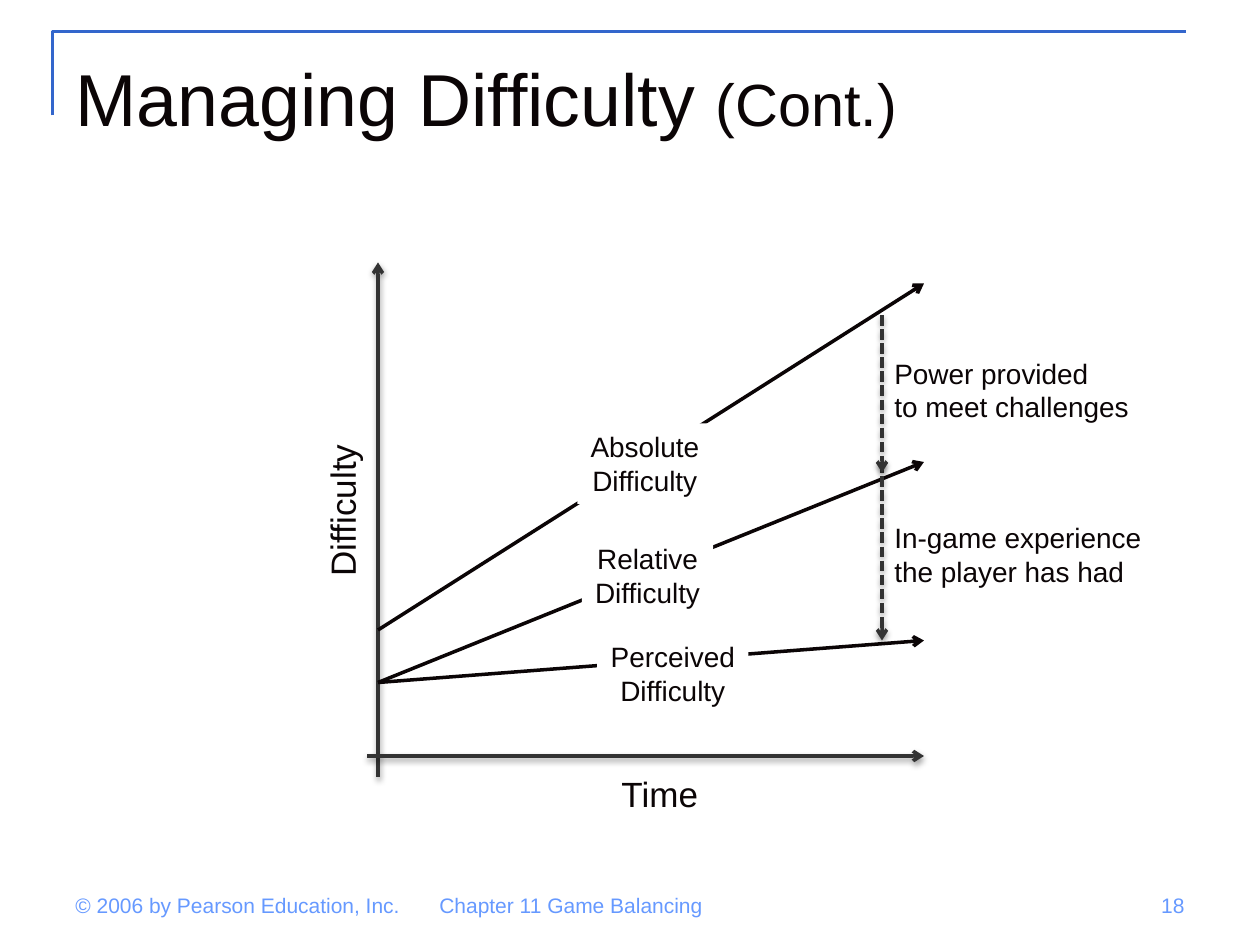
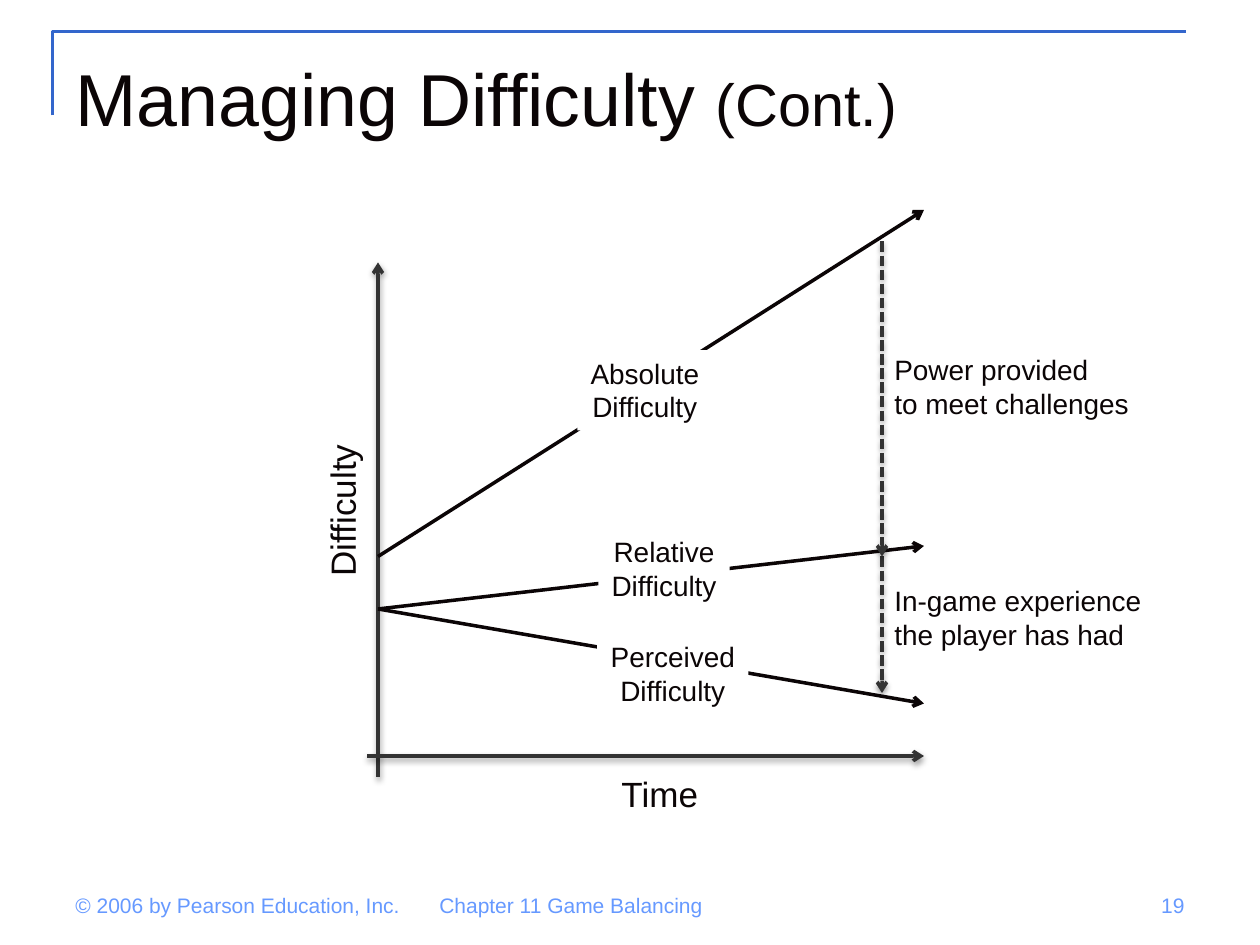
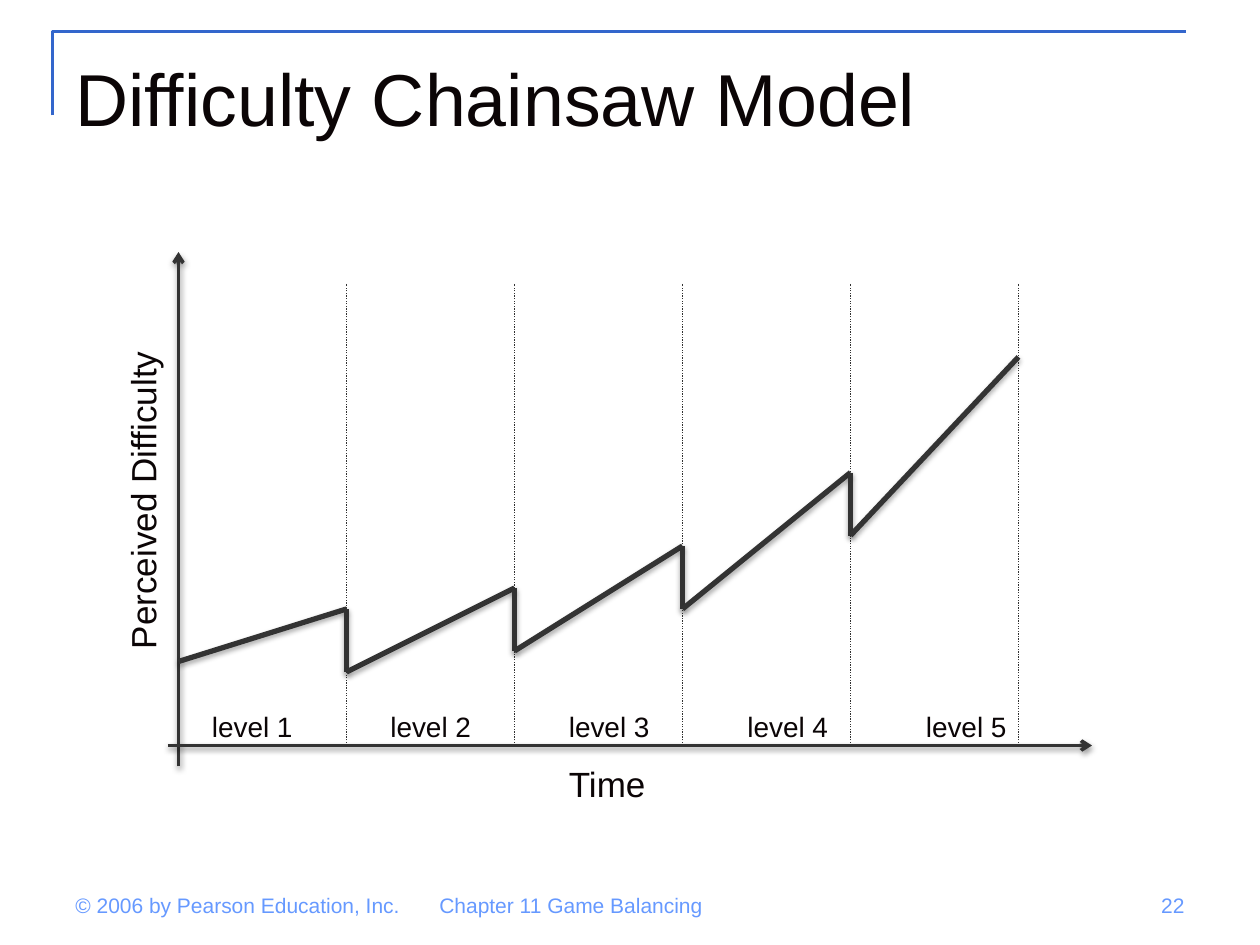
"""Build three game-balancing slides: two difficulty diagrams and the chainsaw model."""
from lxml import etree
from pptx import Presentation
from pptx.dml.color import RGBColor
from pptx.enum import dml, text as tx
from pptx.oxml import parse_xml
from pptx.oxml.ns import nsdecls, qn
from pptx.util import Pt

INK = RGBColor(0x0B, 0x05, 0x06)
GRAPHITE = RGBColor(0x33, 0x33, 0x33)
GUIDE = RGBColor(0x32, 0x32, 0x32)
WHITE = RGBColor(0xFF, 0xFF, 0xFF)
BAND = RGBColor(0x33, 0x66, 0xCC)
FOOTER = RGBColor(0x66, 0x99, 0xFF)
FONT = "Arial"
DASHED = dml.MSO_LINE.SQUARE_DOT
DOTTED = dml.MSO_LINE.ROUND_DOT
AXIS_SHADOW = (38, 1.6)
TOOTH_SHADOW = (35, 1.8)

COPYRIGHT = "© 2006 by Pearson Education, Inc."
CHAPTER = "Chapter 11 Game Balancing"
POWER = "Power provided\vto meet challenges"
EXPERIENCE = "In-game experience\vthe player has had"

AXIS_HEIGHT = 282
CURVE_LEFT, CURVE_RIGHT, GAP_X = 216, 528, 504
LABEL_WIDTHS = {"Absolute": 77, "Relative": 75, "Perceived": 86.4}
NOTE_WIDTHS = {POWER: 150, EXPERIENCE: 157}

DIFFICULTY_SLIDES = [
    {
        "number": 18,
        "curves": [("Absolute", 360, 162, (330, 242)),
                   ("Relative", 390, 264, (332.6, 306)),
                   ("Perceived", 390, 366, (341.3, 362))],
        "gaps": [(EXPERIENCE, 264, 366, 294), (POWER, 180, 270, 200)],
    },
    {
        "number": 19,
        "curves": [("Absolute", 318, 120, (330, 200)),
                   ("Relative", 348, 312, (342, 302)),
                   ("Perceived", 348, 402, (341.3, 362))],
        "gaps": [(EXPERIENCE, 318, 396, 330), (POWER, 138, 318, 198)],
    },
]

CHAINSAW_ORIGIN = (102, 426)
LEVEL_WIDTH, LEVEL_LABEL_STEP, GUIDE_TOP = 96, 102, 162
LEVELS = [(378, 348), (384, 336), (372, 312), (348, 270), (306, 204)]


def write(slide, words, left, top, width, height, size=16, color=INK, suffix=None,
          align=tx.PP_ALIGN.LEFT, anchor=tx.MSO_ANCHOR.TOP, wrap=False,
          fill=None, rotation=0, top_inset=3.6):
    """Add a text box; a suffix is a (words, size) pair closing the last line."""
    box = slide.shapes.add_textbox(Pt(left), Pt(top), Pt(width), Pt(height))
    box.rotation = rotation
    if fill:
        box.fill.solid()
        box.fill.fore_color.rgb = fill
    frame = box.text_frame
    frame.word_wrap = wrap
    frame.auto_size = tx.MSO_AUTO_SIZE.NONE if wrap else tx.MSO_AUTO_SIZE.SHAPE_TO_FIT_TEXT
    frame.vertical_anchor = anchor
    frame.margin_top = Pt(top_inset)
    frame.text = words
    for paragraph in frame.paragraphs:
        paragraph.alignment = align
        for run in paragraph.runs:
            run.font.size = Pt(size)
    if suffix:
        ending = frame.paragraphs[-1].add_run()
        ending.text = suffix[0]
        ending.font.size = Pt(suffix[1])
    for paragraph in frame.paragraphs:
        for run in paragraph.runs:
            run.font.name = FONT
            run.font.color.rgb = color


def draw_line(slide, start, end, color=GRAPHITE, weight=2, arrow=False, dash=None, shadow=None):
    """Draw a straight line; a shadow is an (opacity percent, distance) pair."""
    line = slide.shapes.add_connector(1, *map(Pt, (*start, *end)))
    line.line.color.rgb = color
    line.line.width = Pt(weight)
    if dash:
        line.line.dash_style = dash
    if arrow:
        etree.SubElement(line.get_or_add_ln(), qn("a:tailEnd"), type="arrow")
    effects = parse_xml(f"<a:effectLst {nsdecls('a')}/>")
    if shadow:
        opacity, distance = shadow
        outer = etree.SubElement(effects, qn("a:outerShdw"), blurRad=str(Pt(3.15)),
                                 dist=str(Pt(distance)), dir="5400000", rotWithShape="0")
        black = etree.SubElement(outer, qn("a:srgbClr"), val="000000")
        etree.SubElement(black, qn("a:alpha"), val=str(opacity * 1000))
    line._element.spPr.append(effects)


def start_slide(deck, title, number, suffix=None):
    """Add a slide with the corner band, the title and the footers."""
    slide = deck.slides.add_slide(deck.slide_layouts[6])
    builder = slide.shapes.build_freeform(Pt(30), Pt(66))
    builder.add_line_segments([(Pt(30), Pt(18)), (Pt(678), Pt(18))], close=False)
    band = builder.convert_to_shape()
    band.shadow.inherit = False
    band.fill.background()
    band.line.color.rgb = BAND
    band.line.width = Pt(1.5)
    write(slide, title, 36, 21.6, 648, 90, size=42, suffix=suffix, wrap=True, top_inset=8.4)
    for words, left, width, align in [(COPYRIGHT, 36, 208, tx.PP_ALIGN.LEFT),
                                      (CHAPTER, 244, 224, tx.PP_ALIGN.LEFT),
                                      (str(number), 516, 168, tx.PP_ALIGN.RIGHT)]:
        write(slide, words, left, 492, width, 36, size=12, color=FOOTER, align=align,
              anchor=tx.MSO_ANCHOR.BOTTOM, wrap=True)
    return slide


def draw_axes(slide, origin, right, time_left, rise_name, rise_length):
    """Draw both axes with their names."""
    x, y = origin
    for start, end in [((x, y + 12), (x, y - AXIS_HEIGHT)), ((x - 6, y), (right, y))]:
        draw_line(slide, start, end, arrow=True, shadow=AXIS_SHADOW)
    write(slide, "Time", time_left, y + 6, 59, 31.5, size=20)
    write(slide, rise_name, x - 20.4 - rise_length / 2, y - AXIS_HEIGHT / 2 - 15.75,
          rise_length, 31.5, size=20, rotation=270)


def build_difficulty(deck, number, curves, gaps):
    """Show three difficulty curves and the gaps between them."""
    slide = start_slide(deck, "Managing Difficulty ", number, suffix=("(Cont.)", 34))
    draw_axes(slide, (CURVE_LEFT, 432), CURVE_RIGHT, 348, "Difficulty", 91)
    for _, first, last, _ in curves:
        draw_line(slide, (CURVE_LEFT, first), (CURVE_RIGHT, last), color=INK, arrow=True)
    for kind, _, _, corner in curves:
        write(slide, f"{kind}\nDifficulty", *corner, LABEL_WIDTHS[kind], 46,
              align=tx.PP_ALIGN.CENTER, fill=WHITE)
    for note, top, bottom, note_top in gaps:
        draw_line(slide, (GAP_X, top), (GAP_X, bottom), arrow=True, dash=DASHED,
                  shadow=AXIS_SHADOW)
        write(slide, note, GAP_X, note_top, NOTE_WIDTHS[note], 46)


def build_chainsaw(deck):
    """Show perceived difficulty rising in each level and dropping after it."""
    slide = start_slide(deck, "Difficulty Chainsaw Model", 22)
    left, base = CHAINSAW_ORIGIN
    draw_axes(slide, CHAINSAW_ORIGIN, 624, 318, "Perceived Difficulty", 186)
    for index, (low, high) in enumerate(LEVELS):
        start = left + index * LEVEL_WIDTH
        end = start + LEVEL_WIDTH
        draw_line(slide, (start, low), (end, high), weight=3, shadow=TOOTH_SHADOW)
        if index + 1 < len(LEVELS):
            draw_line(slide, (end, LEVELS[index + 1][0]), (end, high), weight=3,
                      shadow=TOOTH_SHADOW)
        write(slide, f"level {index + 1}", left + 12 + index * LEVEL_LABEL_STEP, 402, 61, 26.5)
        draw_line(slide, (end, base), (end, GUIDE_TOP), color=GUIDE, weight=0.75, dash=DOTTED)


def main():
    """Build and save the deck."""
    deck = Presentation()
    deck.slide_width, deck.slide_height = Pt(720), Pt(540)
    for content in DIFFICULTY_SLIDES:
        build_difficulty(deck, **content)
    build_chainsaw(deck)
    deck.save("out.pptx")


if __name__ == "__main__":
    main()
